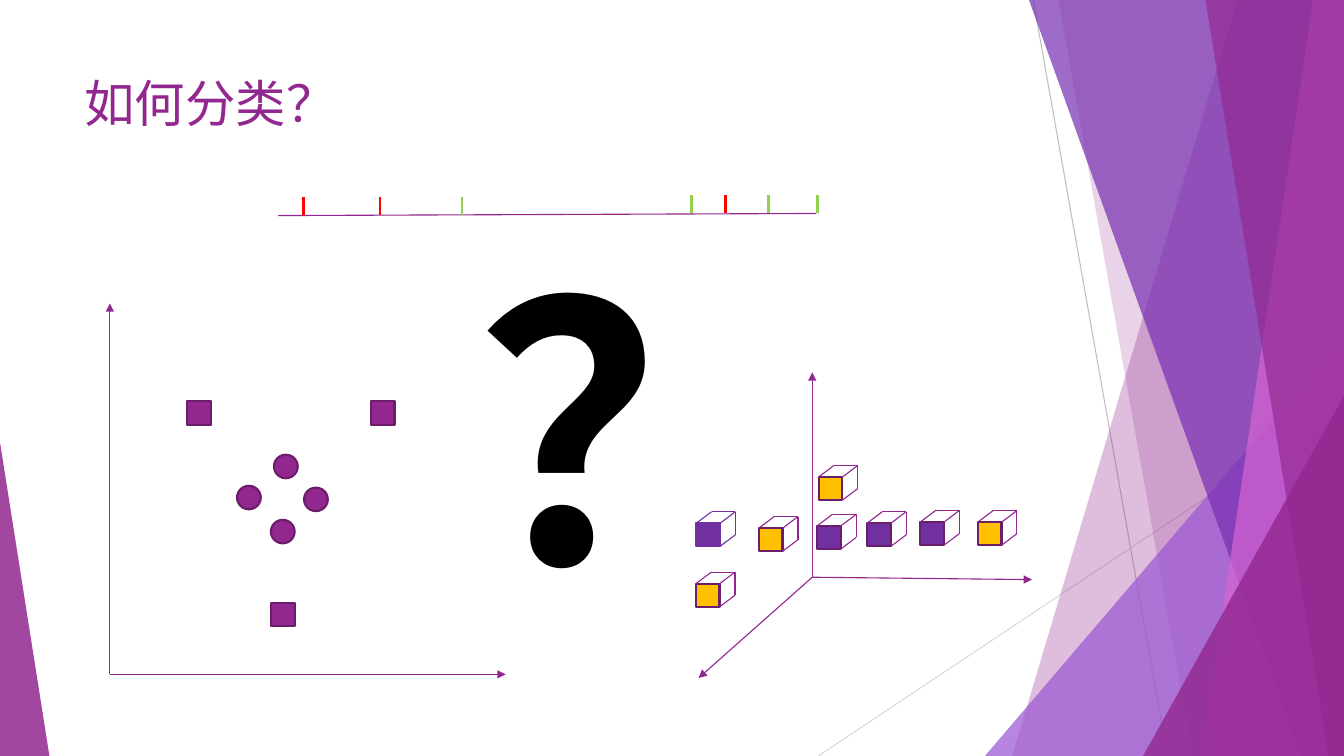
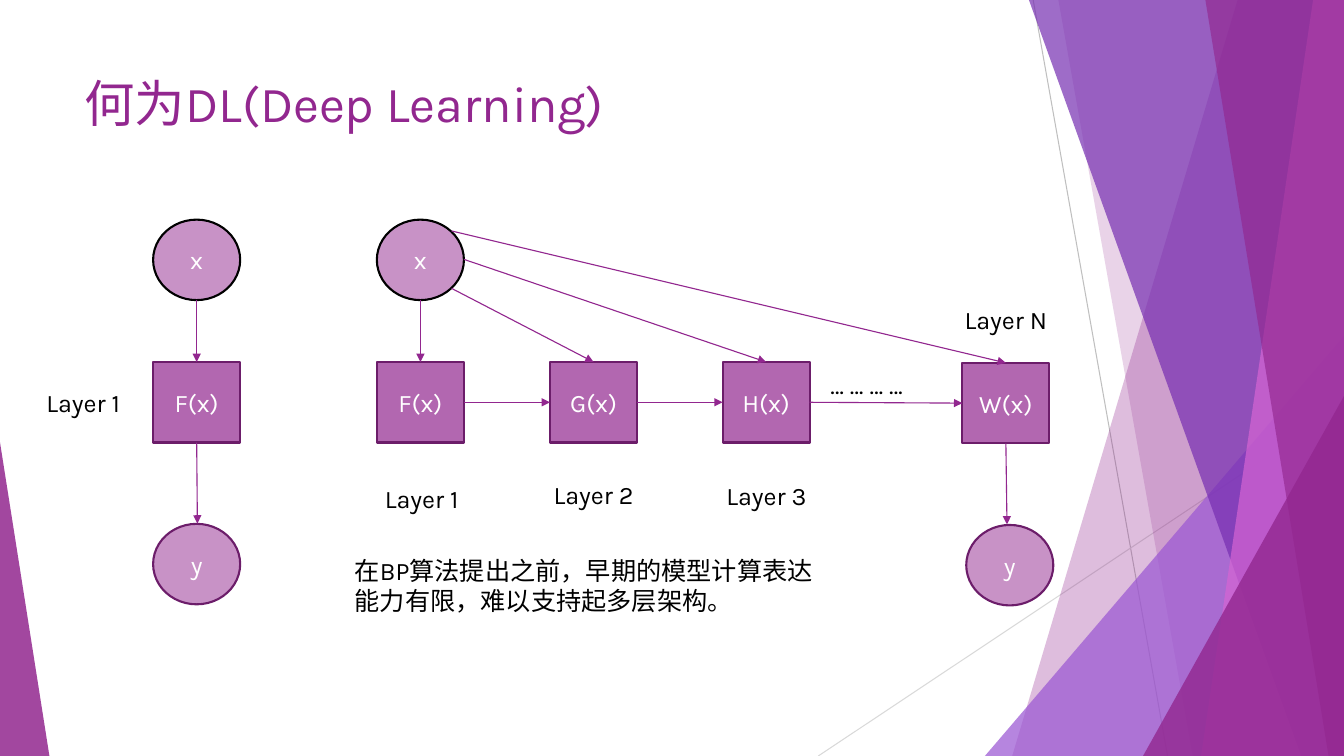
from dataclasses import dataclass
from itertools import pairwise

from lxml.etree import SubElement
from pptx import Presentation
from pptx.dml.color import RGBColor
from pptx.enum.lang import MSO_LANGUAGE_ID as Language
from pptx.enum.shapes import MSO_CONNECTOR as Connector, MSO_SHAPE as Preset
from pptx.enum.text import PP_ALIGN as Align
from pptx.oxml.ns import qn
from pptx.util import Pt


@dataclass(frozen=True)
class Theme:
    font: str = "Karla"
    title_size: int = 36
    body_size: int = 18
    mark_size: int = 256
    purple: str = "92278F"
    outline: str = "6C1D6A"
    violet: str = "762EB1"
    lilac: str = "9B57D3"
    pink: str = "D665D3"
    cube_purple: str = "7030A0"
    gold: str = "FFC000"
    red: str = "FF0000"
    green: str = "92D050"
    grey: str = "BFBFBF"
    light_grey: str = "D9D9D9"
    black: str = "000000"
    white: str = "FFFFFF"
    thin: float = 0.79
    border: float = 1.5


theme = Theme()
WIDTH, HEIGHT = 960, 540


def paint(shape, fill, line=None, opacity=100):
    shape.shadow.inherit = False
    shape.fill.solid()
    shape.fill.fore_color.rgb = RGBColor.from_string(fill)
    if opacity < 100:
        color = shape.element.spPr.find(qn("a:solidFill"))[0]
        SubElement(color, qn("a:alpha")).set("val", str(opacity * 1000))
    if line:
        shape.line.color.rgb = RGBColor.from_string(line)
        shape.line.width = Pt(theme.border)
    else:
        shape.line.fill.background()
    return shape


def draw_line(page, start, end, color=theme.purple, width=theme.thin, arrow=False):
    points = [Pt(value) for value in (*start, *end)]
    line = page.shapes.add_connector(Connector.STRAIGHT, *points)
    line.line.color.rgb = RGBColor.from_string(color)
    line.line.width = Pt(width)
    properties = line._element.spPr
    if arrow:
        SubElement(properties.find(qn("a:ln")), qn("a:tailEnd")).set("type", "triangle")
    SubElement(properties, qn("a:effectLst"))
    return line


deck = Presentation()
deck.slide_width, deck.slide_height = Pt(WIDTH), Pt(HEIGHT)
blank = deck.slide_layouts[6]
writings = []

slabs_and_wedges = [
    ("slab", (884, 723), theme.purple, 30),
    ("slab", (756, 852), theme.purple, 20),
    ("wedge", (703.5, 240, 256.5, 1), theme.lilac, 72),
    ("slab", (735, 929.5), theme.violet, 70),
    ("slab", (938, 858), theme.pink, 70),
    ("slab", (861, 949), theme.purple, 65),
    ("wedge", (816.5, 283, 143.5, 1), theme.purple, 80),
    ("wedge", (0, 316, 35.3, 0), theme.purple, 85),
]
titles = ["如何分类？", "何为DL(Deep Learning)"]
pages = []
for title in titles:
    page = deck.slides.add_slide(blank)
    pages.append(page)
    draw_line(page, (738, 0), (834, HEIGHT), theme.grey, 0.75)
    draw_line(page, (WIDTH, 290), (584.5, HEIGHT), theme.light_grey, 0.75)
    for kind, geometry, color, opacity in slabs_and_wedges:
        if kind == "slab":
            top_x, bottom_x = geometry
            builder = page.shapes.build_freeform(Pt(top_x), 0)
            corners = [(WIDTH, 0), (WIDTH, HEIGHT), (bottom_x, HEIGHT)]
            builder.add_line_segments([(Pt(x), Pt(y)) for x, y in corners])
            band = builder.convert_to_shape()
        else:
            left, top, width, apex = geometry
            band = page.shapes.add_shape(
                Preset.ISOSCELES_TRIANGLE, Pt(left), Pt(top), Pt(width), Pt(HEIGHT - top))
            band.adjustments[0] = apex
        paint(band, color, opacity=opacity)
    box = page.shapes.add_textbox(Pt(53.3), Pt(48), Pt(677), Pt(104))
    writings.append((box, title, theme.title_size, theme.purple, Align.LEFT))

classify, network = pages

SIDE, RISE, DEPTH_X, DEPTH_Y = 17, 16.5, 11, 8.3
cubes = [
    (497, 417, theme.gold, theme.outline, theme.purple),
    (698.4, 373, theme.gold, theme.outline, theme.purple),
    (542, 377.3, theme.gold, theme.outline, theme.purple),
    (584.8, 340.7, theme.gold, theme.outline, theme.purple),
    (497.3, 373.8, theme.cube_purple, theme.cube_purple, theme.cube_purple),
    (657.5, 372.8, theme.cube_purple, theme.outline, theme.purple),
    (583.6, 375.7, theme.cube_purple, theme.outline, theme.purple),
    (619.3, 373.8, theme.cube_purple, theme.outline, theme.purple),
]
for x, y, fill, outline, edge in cubes:
    face = classify.shapes.add_shape(Preset.RECTANGLE, Pt(x), Pt(y), Pt(SIDE), Pt(RISE))
    paint(face, fill, outline)
    front = [(x, y), (x + SIDE, y), (x + SIDE, y + RISE)]
    back = [(a + DEPTH_X, b - DEPTH_Y) for a, b in front]
    for start, end in [*zip(front, back), *pairwise(back)]:
        draw_line(classify, start, end, edge)

draw_line(classify, (198.7, 154), (583.2, 152.5))
ticks = [
    (216.7, 141, theme.red), (271.4, 141, theme.red), (330, 141, theme.green),
    (494, 139.5, theme.green), (518.2, 139.5, theme.red),
    (549, 139.5, theme.green), (583.8, 139.5, theme.green),
]
for x, y, color in ticks:
    draw_line(classify, (x, y), (x, y + 12.5), color, 2)

markers = {
    Preset.OVAL: [(217.2, 348.3), (195.7, 324.8), (193.5, 371.3), (169.3, 347)],
    Preset.RECTANGLE: [(133.7, 286.6), (264.8, 286.6), (193.6, 430.6)],
}
for preset, places in markers.items():
    for x, y in places:
        marker = classify.shapes.add_shape(preset, Pt(x), Pt(y), Pt(17), Pt(16.8))
        paint(marker, theme.purple, theme.outline)

axes = {
    (78.5, 481.7): [(361.2, 481.7), (78.5, 216.7)],
    (580.2, 412.3): [(737.2, 414), (580.2, 266), (499, 484.3)],
}
for origin, tips in axes.items():
    for tip in tips:
        draw_line(classify, origin, tip, arrow=True)

box = classify.shapes.add_textbox(Pt(333.4), Pt(144.7), Pt(97.2), Pt(317.5))
writings.append((box, "？", theme.mark_size, theme.black, Align.LEFT))

NODE_WIDTH, NODE_HEIGHT = 62.2, 57.5
nodes = [
    ("x", 109.4, 156.9, Preset.OVAL, theme.black, 50),
    ("F(x)", 109.4, 258.6, Preset.RECTANGLE, theme.outline, 70),
    ("y", 109.4, 374.2, Preset.OVAL, theme.outline, 50),
    ("x", 269.2, 156.9, Preset.OVAL, theme.black, 50),
    ("F(x)", 269.2, 258.6, Preset.RECTANGLE, theme.outline, 70),
    ("G(x)", 392.9, 258.6, Preset.RECTANGLE, theme.outline, 70),
    ("H(x)", 516.2, 258.6, Preset.RECTANGLE, theme.outline, 70),
    ("W(x)", 687.4, 259.2, Preset.RECTANGLE, theme.outline, 70),
    ("y", 690.2, 375, Preset.OVAL, theme.outline, 50),
]
layers = []
for text, x, y, preset, outline, opacity in nodes:
    node = network.shapes.add_shape(preset, Pt(x), Pt(y), Pt(NODE_WIDTH), Pt(NODE_HEIGHT))
    paint(node, theme.purple, outline, opacity)
    writings.append((node, text, theme.body_size, theme.white, Align.CENTER))
    if preset == Preset.RECTANGLE:
        layers.append(node)
single, first, second, third, last = layers

for left, right in pairwise(layers[1:]):
    line = draw_line(network, (0, 0), (0, 0), arrow=True)
    line.begin_connect(left, 3)
    line.end_connect(right, 1)
inputs = [
    ((140.5, 214), single), ((300.3, 214), first),
    ((322.6, 206), second), ((331.4, 185.3), third), ((322.6, 165), last),
]
for start, layer in inputs:
    line = draw_line(network, start, start, arrow=True)
    line.end_connect(layer, 0)
for layer, end in [(single, (141, 374)), (last, (719.3, 374.6))]:
    line = draw_line(network, end, end, arrow=True)
    line.begin_connect(layer, 2)

labels = [
    ("… … … …", 586, 260, Align.LEFT),
    ("Layer 1", 26, 273, Align.LEFT),
    ("Layer 1", 254.7, 341.5, Align.CENTER),
    ("Layer 2", 377.5, 339, Align.CENTER),
    ("Layer 3", 501, 339.8, Align.CENTER),
    ("Layer N", 672, 214, Align.CENTER),
]
for text, x, y, align in labels:
    box = network.shapes.add_textbox(Pt(x), Pt(y), Pt(93), Pt(29))
    writings.append((box, text, theme.body_size, theme.black, align))
box = network.shapes.add_textbox(Pt(246.3), Pt(393), Pt(353.5), Pt(51))
remark = "在BP算法提出之前，早期的模型计算表达能力有限，难以支持起多层架构。"
writings.append((box, remark, theme.body_size, theme.black, Align.LEFT))

for shape, text, size, color, align in writings:
    frame = shape.text_frame
    frame.word_wrap = True
    frame.text = text
    para = frame.paragraphs[0]
    para.alignment = align
    font = para.runs[0].font
    font.name = theme.font
    font.size = Pt(size)
    font.bold = size == theme.mark_size
    font.color.rgb = RGBColor.from_string(color)
    font.language_id = Language.SIMPLIFIED_CHINESE

deck.save("out.pptx")
